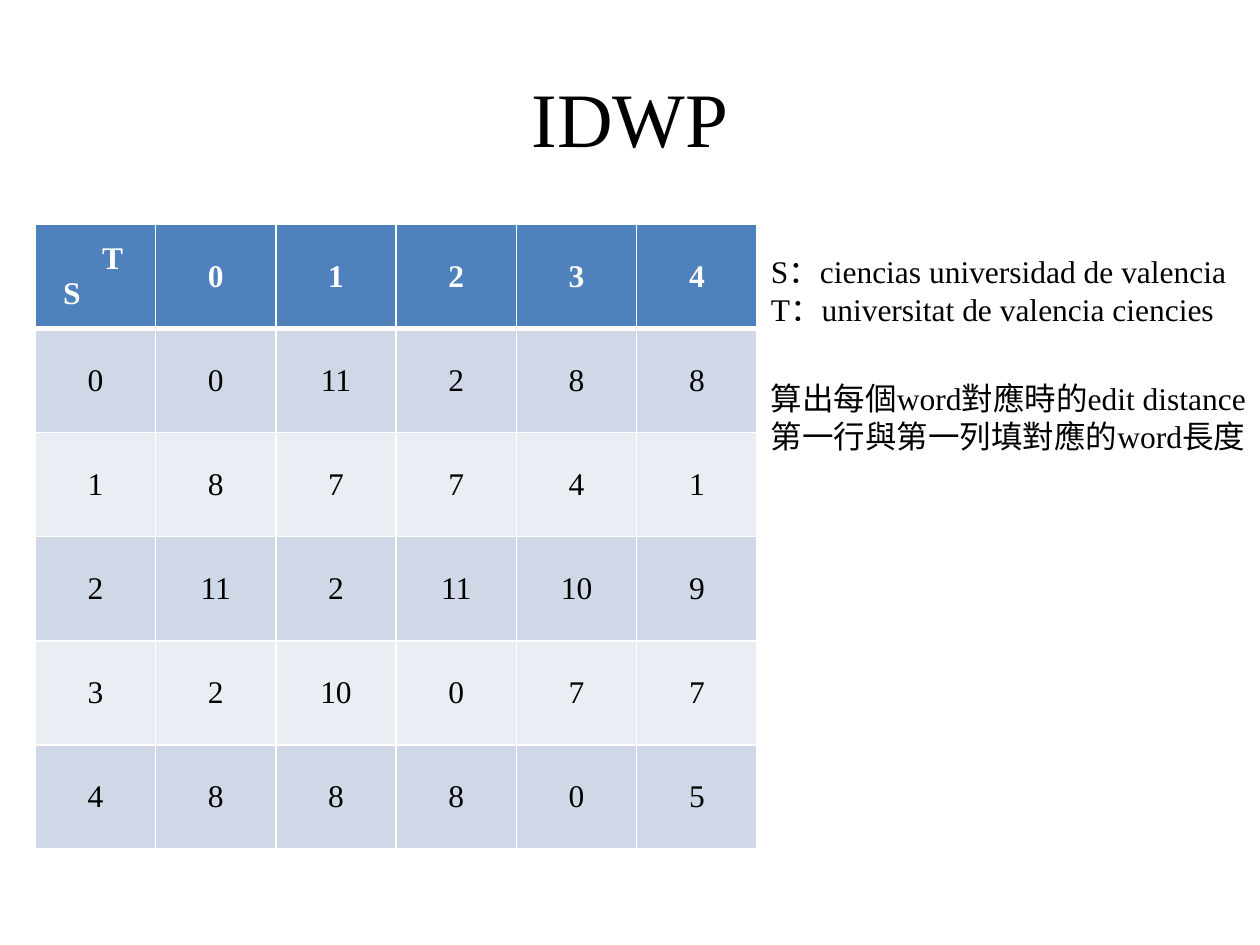
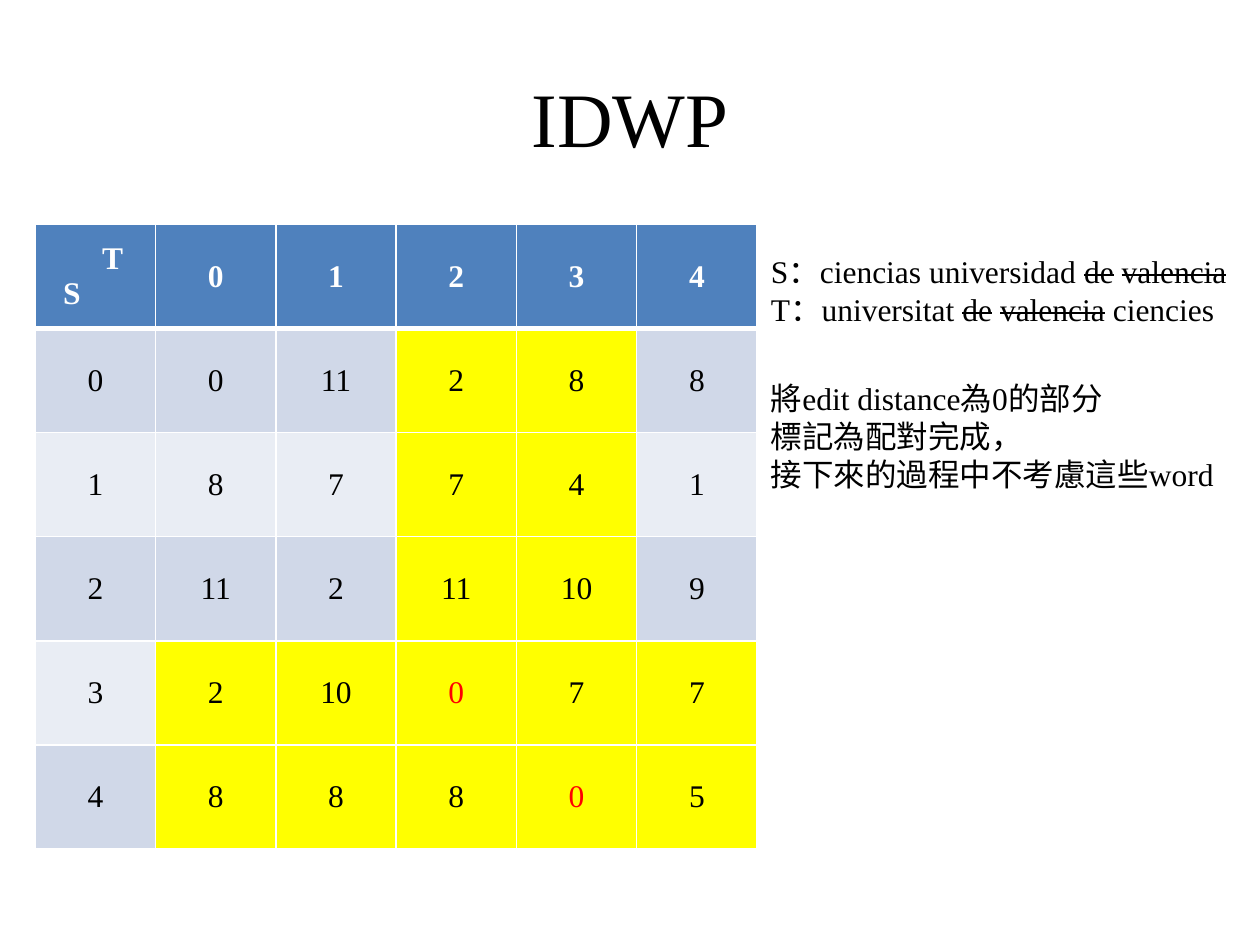
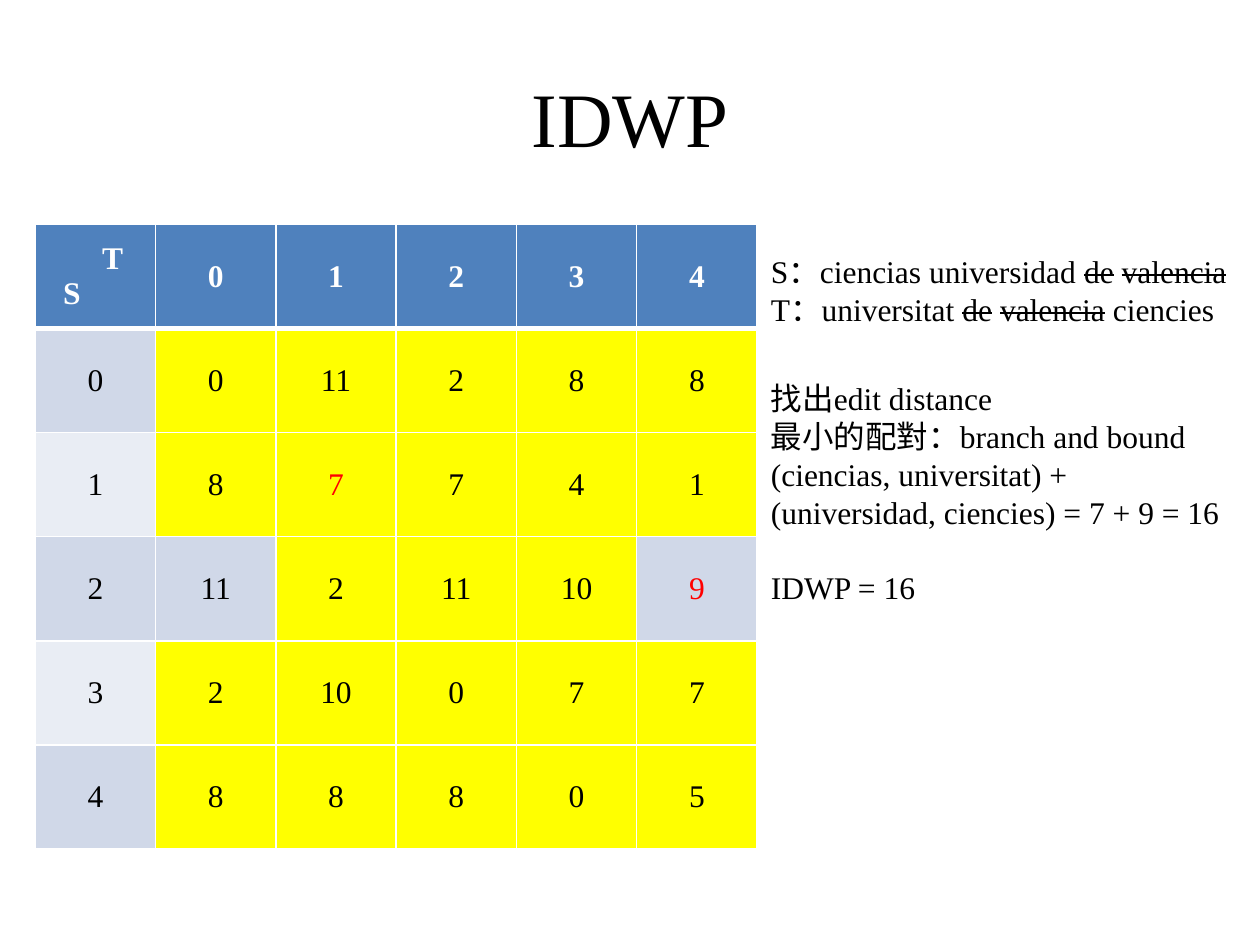
"""Build three slides that work through the IDWP word distance."""
from lxml.etree import SubElement
from pptx import Presentation
from pptx.dml.color import RGBColor
from pptx.enum.text import MSO_ANCHOR, MSO_AUTO_SIZE, PP_ALIGN
from pptx.oxml import parse_xml
from pptx.oxml.ns import nsdecls, qn
from pptx.util import Inches, Pt

THEME = {
    "font": "Times New Roman", "title": 44, "body": 18,
    "black": "000000", "white": "FFFFFF", "red": "FF0000",
    "header": "4F81BD", "bands": ("D0D8E8", "E9EDF4"), "marked": "FFFF00",
    "border": 1, "header_border": 3, "gap": 21.6,
}
TITLE = "IDWP"
TITLE_AREA = (0.5, 0.3, 9, 1.25)
TABLE_AREA = (0.28, 1.78, 5.73, 4.96)
WORDS_AREA = (6.02, 1.95, 3.9, 0.71)
NOTE_LEFT, NOTE_TOP = 6.02, 2.96
CORNER = (("T", 0.43), ("S", 0.12))

DISTANCES = [
    [0, 11, 2, 8, 8],
    [8, 7, 7, 4, 1],
    [11, 2, 11, 10, 9],
    [2, 10, 0, 7, 7],
    [8, 8, 8, 0, 5],
]
SIZE = len(DISTANCES)
GRID = {(row, column) for row in range(SIZE) for column in range(SIZE)}
MATCHED = {(3, 2), (4, 3)}
MATCHED_LINES = {(row, column) for row, column in GRID if row in (3, 4) or column in (2, 3)}

PLAIN_WORDS = ["S：ciencias universidad de valencia", "T：universitat de valencia ciencies"]
STRUCK_WORDS = [
    "S：ciencias universidad ~de~ ~valencia~",
    "T：universitat ~de~ ~valencia~ ciencies",
]
STEPS = [
    {
        "words": PLAIN_WORDS, "marked": set(), "red": set(), "note_size": (4.01, 0.71),
        "note": ["算出每個word對應時的edit distance", "第一行與第一列填對應的word長度"],
        "result": [],
    },
    {
        "words": STRUCK_WORDS, "marked": MATCHED_LINES, "red": MATCHED, "note_size": (3.75, 1.01),
        "note": ["將edit distance為0的部分", "標記為配對完成，", "接下來的過程中不考慮這些word"],
        "result": [],
    },
    {
        "words": STRUCK_WORDS, "marked": GRID - {(2, 0), (2, 4)}, "red": {(1, 1), (2, 4)},
        "note_size": (3.8, 1.92),
        "note": ["找出edit distance", "最小的配對：branch and bound",
                 "(ciencias, universitat) +", "(universidad, ciencies) = 7 + 9 = 16"],
        "result": ["IDWP = 16"],
    },
]


def add_span(para, text, size=THEME["body"], color=THEME["black"], bold=False):
    span = para.add_run()
    span.text = text
    for name, value in {"name": THEME["font"], "size": Pt(size), "bold": bold}.items():
        setattr(span.font, name, value)
    span.font.color.rgb = RGBColor.from_string(color)
    return span


def next_para(frame, index):
    return frame.add_paragraph() if index else frame.paragraphs[0]


def add_box(page, area, anchor=MSO_ANCHOR.TOP, fit=MSO_AUTO_SIZE.SHAPE_TO_FIT_TEXT):
    frame = page.shapes.add_textbox(*map(Inches, area)).text_frame
    for name, value in {"word_wrap": True, "vertical_anchor": anchor, "auto_size": fit}.items():
        setattr(frame, name, value)
    return frame


def add_title(page):
    para = add_box(page, TITLE_AREA, MSO_ANCHOR.MIDDLE, MSO_AUTO_SIZE.NONE).paragraphs[0]
    para.alignment = PP_ALIGN.CENTER
    add_span(para, TITLE, THEME["title"])


def add_lines(page, area, lines, result=()):
    frame = add_box(page, area)
    for index, line in enumerate([*lines, *result]):
        para = next_para(frame, index)
        if index >= len(lines):
            para.space_before = Pt(THEME["gap"])
        for part, text in enumerate(line.split("~")):
            if text:
                span = add_span(para, text)
                if part % 2:
                    span.font._element.set("strike", "sngStrike")


def style_cell(cell, fill, row):
    cell.vertical_anchor = MSO_ANCHOR.MIDDLE
    cell.fill.solid()
    cell.fill.fore_color.rgb = RGBColor.from_string(fill)
    widths = dict.fromkeys(("lnL", "lnR", "lnT", "lnB"), THEME["border"])
    if row < 2:
        widths["lnT" if row else "lnB"] = THEME["header_border"]
    properties = cell._tc.get_or_add_tcPr()
    for index, (side, width) in enumerate(widths.items()):
        line = parse_xml(f'<a:{side} {nsdecls("a")} w="{Pt(width)}"/>')
        SubElement(SubElement(line, qn("a:solidFill")), qn("a:srgbClr"), val=THEME["white"])
        properties.insert(index, line)


def add_distances(page, marked, red):
    count = SIZE + 1
    table = page.shapes.add_table(count, count, *map(Inches, TABLE_AREA)).table
    for column in table.columns:
        column.width = Inches(TABLE_AREA[2] / count)
    for row in table.rows:
        row.height = Inches(TABLE_AREA[3] / count)
    labels = [["", *range(SIZE)]] + [[index, *values] for index, values in enumerate(DISTANCES)]
    for row, values in enumerate(labels):
        for column, value in enumerate(values):
            cell, place = table.cell(row, column), (row - 1, column - 1)
            fill = THEME["bands"][(row - 1) % 2] if row else THEME["header"]
            style_cell(cell, THEME["marked"] if place in marked else fill, row)
            if row == column == 0:
                continue
            para = cell.text_frame.paragraphs[0]
            para.alignment = PP_ALIGN.CENTER
            color = THEME["red" if place in red else "black" if row else "white"]
            add_span(para, str(value), color=color, bold=row == 0)
    for index, (text, indent) in enumerate(CORNER):
        para = next_para(table.cell(0, 0).text_frame, index)
        para._p.get_or_add_pPr().set("marL", str(Inches(indent)))
        add_span(para, text, color=THEME["white"], bold=True)


def main():
    deck = Presentation()
    deck.slide_width, deck.slide_height = Inches(10), Inches(7.5)
    for step in STEPS:
        page = deck.slides.add_slide(deck.slide_layouts[6])
        add_title(page)
        add_distances(page, step["marked"], step["red"])
        add_lines(page, WORDS_AREA, step["words"])
        add_lines(page, (NOTE_LEFT, NOTE_TOP, *step["note_size"]), step["note"], step["result"])
    deck.save("out.pptx")


if __name__ == "__main__":
    main()
